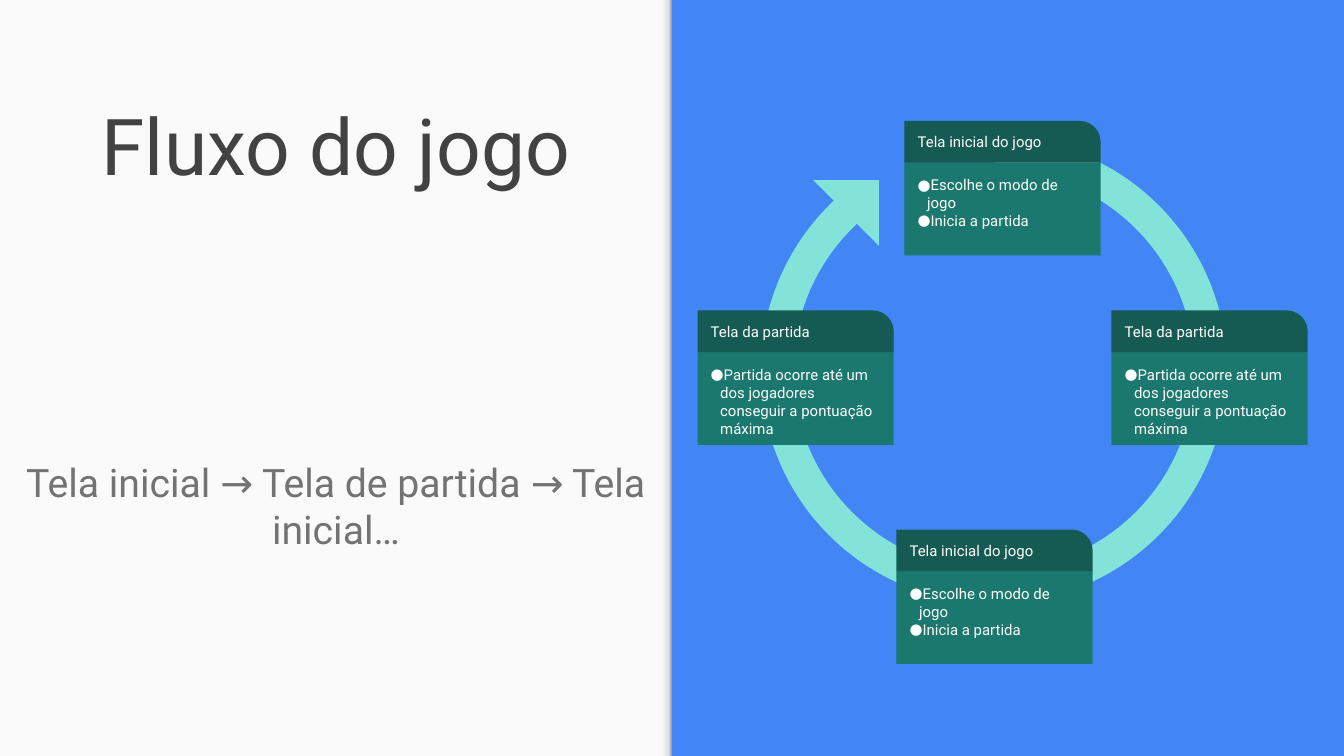
"""Build the game flow slide: a title panel beside a four-card cycle."""
from copy import deepcopy
from dataclasses import dataclass

from lxml.etree import SubElement
from pptx import Presentation
from pptx.dml.color import RGBColor as RGB
from pptx.enum.shapes import MSO_SHAPE as SHAPE
from pptx.enum.text import MSO_ANCHOR as ANCHOR, PP_ALIGN as ALIGN
from pptx.oxml.ns import qn
from pptx.util import Inches, Pt


@dataclass(frozen=True)
class Theme:
    font: str = "Roboto"
    background: str = "4285F4"
    panel: str = "FAFAFA"
    edge: tuple = ((0, "F9F9F9"), (0.36, "F9F9F9"), (0.8, "DEDEDE"), (1, "999999"))
    title: str = "424242"
    subtitle: str = "737373"
    ring: str = "83E3D9"
    header: str = "155B54"
    body: str = "1B786E"
    card_text: str = "FFFFFF"
    title_size: int = 42
    subtitle_size: int = 21
    card_size: int = 8


@dataclass(frozen=True)
class Card:
    left: float
    top: float
    heading: str
    items: tuple[str, ...]


THEME = Theme()
WIDTH = 10
HEIGHT = WIDTH * 9 / 16
PANEL_W, EDGE_W = WIDTH / 2, 0.12
CARD_W, HEADER_H, BODY_H = 1.46, 0.31, 0.69
START = ("Tela inicial do jogo", ("Escolhe o modo de jogo", "Inicia a partida"))
MATCH = ("Tela da partida",
         ("Partida ocorre até um dos jogadores conseguir a pontuação máxima",))
CARDS = (
    Card(6.73, 0.9, *START),
    Card(6.67, 3.94, *START),
    Card(5.19, 2.31, *MATCH),
    Card(8.27, 2.31, *MATCH),
)


def add_bullet(p, color: str) -> None:
    pPr = p._p.get_or_add_pPr()
    pPr.set("marL", str(Inches(0.07)))
    pPr.set("indent", str(Inches(-0.11)))
    SubElement(SubElement(pPr, qn("a:buClr")), qn("a:srgbClr"), val=color)
    SubElement(pPr, qn("a:buFont"), typeface=THEME.font)
    SubElement(pPr, qn("a:buChar"), char="●")


def write(sp, *lines: str, size: int, color: str, align=ALIGN.LEFT,
          anchor=ANCHOR.TOP, bullets: bool = False) -> None:
    tf = sp.text_frame
    tf.word_wrap = True
    tf.vertical_anchor = anchor
    tf.margin_left = tf.margin_right = tf.margin_top = tf.margin_bottom = Inches(0.1)
    for i, line in enumerate(lines):
        p = tf.add_paragraph() if i else tf.paragraphs[0]
        p.alignment = align
        if bullets:
            add_bullet(p, color)
        r = p.add_run()
        r.text = line
        r.font.name = THEME.font
        r.font.size = Pt(size)
        r.font.color.rgb = RGB.from_string(color)


def add_block(shapes, kind: SHAPE, left: float, top: float, width: float,
              height: float, color: str, adjust: tuple = (), rotation: float = 0):
    sp = shapes.add_shape(kind, *map(Inches, (left, top, width, height)))
    sp.shadow.inherit = False
    sp.fill.solid()
    sp.fill.fore_color.rgb = RGB.from_string(color)
    sp.line.fill.background()
    sp.rotation = rotation
    for i, value in enumerate(adjust):
        sp.adjustments[i] = value
    return sp


def add_panel(shapes) -> None:
    add_block(shapes, SHAPE.RECTANGLE, 0, 0, PANEL_W, HEIGHT, THEME.panel)
    edge = add_block(shapes, SHAPE.RECTANGLE, PANEL_W - EDGE_W, 0, EDGE_W, HEIGHT,
                     THEME.panel)
    edge.fill.gradient()
    edge.fill.gradient_angle = 0
    stop_list = edge._element.spPr.find(".//" + qn("a:gsLst"))
    while len(stop_list) < len(THEME.edge):
        stop_list.append(deepcopy(stop_list[0]))
    for stop, (position, color) in zip(edge.fill.gradient_stops, THEME.edge):
        stop.position = position
        stop.color.rgb = RGB.from_string(color)

    title = shapes.add_textbox(0, 0, Inches(PANEL_W), Inches(2.14))
    write(title, "Fluxo do jogo", size=THEME.title_size, color=THEME.title,
          align=ALIGN.CENTER, anchor=ANCHOR.MIDDLE)
    subtitle = shapes.add_textbox(0, Inches(3.31), Inches(PANEL_W), Inches(1.35))
    write(subtitle, "Tela inicial → Tela de partida → Tela inicial…",
          size=THEME.subtitle_size, color=THEME.subtitle, align=ALIGN.CENTER)


def add_ring(shapes) -> None:
    group = shapes.add_group_shape().shapes
    add_block(group, SHAPE.BLOCK_ARC, 5.66, 1.02, 3.47, 3.47, THEME.ring,
              adjust=(54, 30.13, 0.07), rotation=180)
    add_block(group, SHAPE.RIGHT_TRIANGLE, 6.05, 1.34, 0.49, 0.49, THEME.ring,
              rotation=180)


def add_card(shapes, card: Card) -> None:
    group = shapes.add_group_shape().shapes
    body = add_block(group, SHAPE.RECTANGLE, card.left, card.top + HEADER_H,
                     CARD_W, BODY_H, THEME.body)
    write(body, *card.items, size=THEME.card_size, color=THEME.card_text, bullets=True)
    header = add_block(group, SHAPE.ROUND_1_RECTANGLE, card.left, card.top,
                       CARD_W, HEADER_H, THEME.header, adjust=(0.5,))
    write(header, card.heading, size=THEME.card_size, color=THEME.card_text,
          anchor=ANCHOR.MIDDLE)


def main() -> None:
    prs = Presentation()
    prs.slide_width, prs.slide_height = Inches(WIDTH), Inches(HEIGHT)
    s = prs.slides.add_slide(prs.slide_layouts[6])
    s.background.fill.solid()
    s.background.fill.fore_color.rgb = RGB.from_string(THEME.background)
    add_panel(s.shapes)
    add_ring(s.shapes)
    for card in CARDS:
        add_card(s.shapes, card)
    prs.save("out.pptx")


if __name__ == "__main__":
    main()
